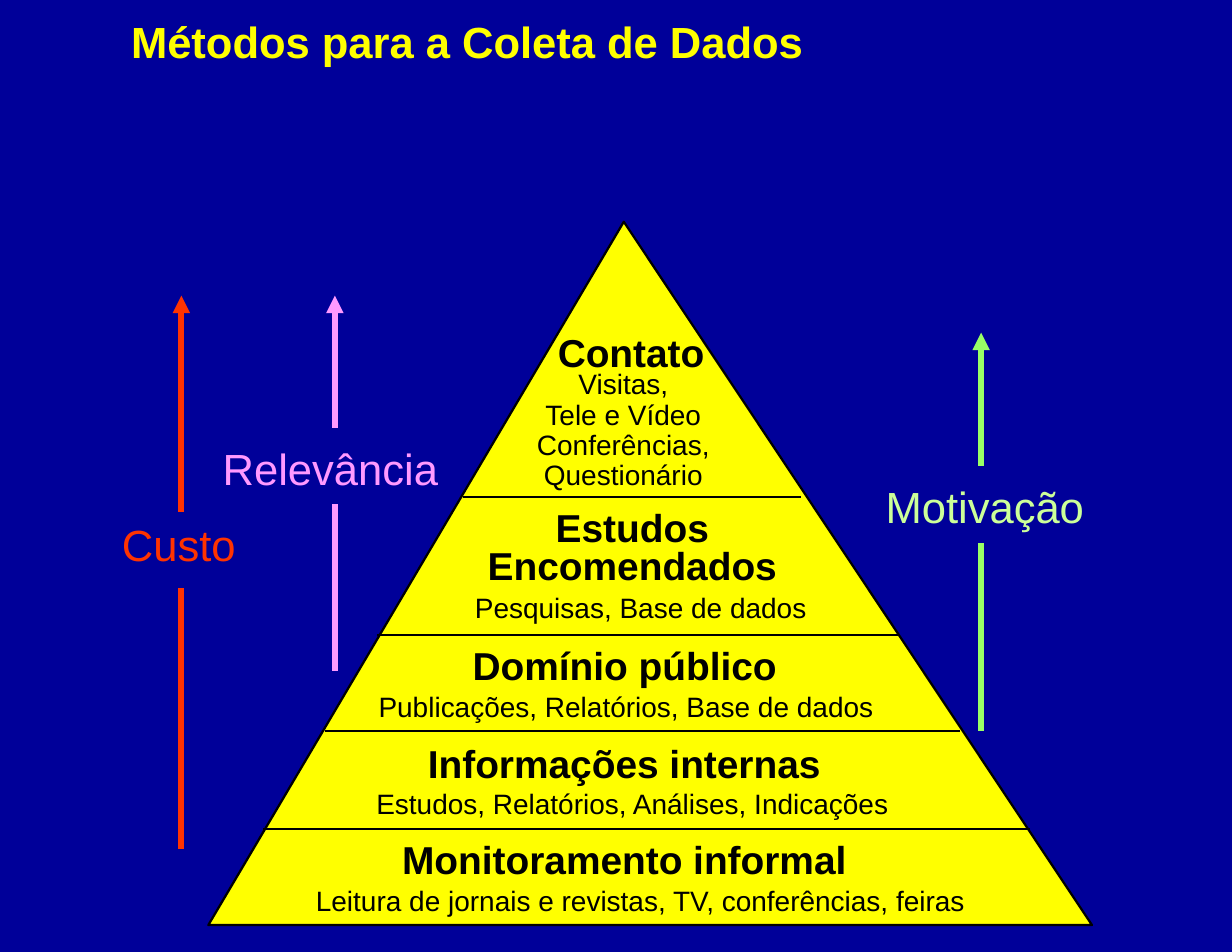
from lxml import etree
from pptx import Presentation
from pptx.dml.color import RGBColor
from pptx.enum.shapes import MSO_CONNECTOR, MSO_SHAPE
from pptx.enum.text import MSO_ANCHOR, MSO_AUTO_SIZE, PP_ALIGN
from pptx.oxml.ns import qn
from pptx.util import Inches, Pt

LEFT, CENTER = PP_ALIGN.LEFT, PP_ALIGN.CENTER
STRAIGHT, RECTANGLE = MSO_CONNECTOR.STRAIGHT, MSO_SHAPE.RECTANGLE
TOP, NO_FIT, TITLE_ONLY = MSO_ANCHOR.TOP, MSO_AUTO_SIZE.NONE, 5
FONT = "Arial"
HEADING, DETAIL, LABEL = 25, 18, 28
COLORS = {
    "background": "000099", "yellow": "FFFF00", "black": "000000",
    "green": "99FF66", "pale green": "CCFF99", "pink": "FF99FF", "red": "FF3300",
}

TITLE = "Métodos para a Coleta de Dados"
TITLE_AREA = (1.17, 0.22, 8.58, 0.51)
# label, label area, mask area, arrow (x, top, bottom), arrow color, label color
ARROWS = [
    ("Motivação", (7.81, 4.24, 1.97, 0.57), (7.74, 4.17, 2.25, 0.67),
     (8.76, 2.97, 6.53), "green", "pale green"),
    ("Relevância", (1.89, 3.9, 2.12, 0.57), (1.82, 3.83, 2.25, 0.67),
     (2.99, 2.64, 5.99), "pink", "pink"),
    ("Custo", (0.99, 4.58, 1.22, 0.57), (0.57, 4.58, 1.75, 0.67),
     (1.62, 2.64, 7.58), "red", "red"),
]
PYRAMID = [(1.86, 8.26), (9.75, 8.26), (5.57, 1.98)]
# left, right, y
DIVIDERS = [(2.35, 9.2, 7.4), (2.9, 8.57, 6.53), (3.37, 8.02, 5.67), (4.13, 7.15, 4.44)]
# text, area, size, alignment, line spacing
LEVEL_TEXTS = [
    ("Contato", (4.98, 2.93, 1.39, 0.41), HEADING, LEFT, 1),
    ("Visitas,\nTele e Vídeo\nConferências,\nQuestionário",
     (4.49, 3.31, 2.15, 0.62), DETAIL, CENTER, 0.9),
    ("Estudos\nEncomendados", (4.3, 4.58, 2.69, 0.7), HEADING, CENTER, 0.8),
    ("Pesquisas, Base de dados", (4.24, 5.27, 3.25, 0.32), DETAIL, LEFT, 1),
    ("Domínio público", (4.22, 5.73, 2.87, 0.41), HEADING, LEFT, 1),
    ("Publicações, Relatórios, Base de dados", (3.38, 6.16, 4.67, 0.3), DETAIL, LEFT, 1),
    ("Informações internas", (3.82, 6.6, 3.71, 0.41), HEADING, LEFT, 1),
    ("Estudos, Relatórios, Análises, Indicações", (3.36, 7.02, 4.82, 0.3), DETAIL, LEFT, 1),
    ("Monitoramento informal", (3.59, 7.46, 4.19, 0.41), HEADING, LEFT, 1),
    ("Leitura de jornais e revistas, TV, conferências, feiras",
     (2.82, 7.89, 6.29, 0.3), DETAIL, LEFT, 1),
]


def color(name):
    return RGBColor.from_string(COLORS[name])


def inches(values):
    return [Inches(value) for value in values]


def write(box, text, size, color_name, bold=False, align=LEFT, spacing=1, inset=0, wrap=True):
    frame = box.text_frame
    frame.text = text
    frame.word_wrap = wrap
    frame.auto_size = NO_FIT
    frame.vertical_anchor = TOP
    if inset is not None:
        frame.margin_left = frame.margin_right = Inches(inset)
        frame.margin_top = frame.margin_bottom = Inches(inset)
    for para in frame.paragraphs:
        para.alignment = align
        para.line_spacing = spacing
        para.space_before = Pt(0)
        for span in para.runs:
            span.font.name = FONT
            span.font.size = Pt(size)
            span.font.bold = bold
            span.font.color.rgb = color(color_name)


def paint(shape, fill, line, width):
    shape.shadow.inherit = False
    shape.fill.solid()
    shape.fill.fore_color.rgb = color(fill)
    shape.line.color.rgb = color(line)
    shape.line.width = Pt(width)


def add_line(shapes, ends, color_name, width, arrow=False):
    """Draw a line, with an arrowhead at its start if arrow is set."""
    line = shapes.add_connector(STRAIGHT, *inches(ends))
    line.line.color.rgb = color(color_name)
    line.line.width = Pt(width)
    properties = line.element.spPr
    if arrow:
        etree.SubElement(properties.find(qn("a:ln")), qn("a:headEnd"), type="triangle")
    etree.SubElement(properties, qn("a:effectLst"))


def add_labelled_arrow(page, label, label_area, mask_area, arrow, arrow_color, label_color):
    """Draw an upward arrow broken by its label."""
    shapes = page.shapes.add_group_shape().shapes
    x, top, bottom = arrow
    add_line(shapes, (x, top, x, bottom), arrow_color, 3.75, arrow=True)
    mask = shapes.add_shape(RECTANGLE, *inches(mask_area))
    paint(mask, "background", "background", 0.75)
    box = shapes.add_textbox(*inches(label_area))
    write(box, label, LABEL, label_color, inset=None, wrap=False)


def main():
    deck = Presentation()
    deck.slide_width, deck.slide_height = Inches(11), Inches(8.5)
    page = deck.slides.add_slide(deck.slide_layouts[TITLE_ONLY])
    page.background.fill.solid()
    page.background.fill.fore_color.rgb = color("background")

    title = page.shapes.title
    title.left, title.top, title.width, title.height = inches(TITLE_AREA)
    write(title, TITLE, LABEL, "yellow", bold=True, spacing=0.8)

    for arrow in ARROWS:
        add_labelled_arrow(page, *arrow)

    corners = [inches(corner) for corner in PYRAMID]
    builder = page.shapes.build_freeform(*corners[0])
    builder.add_line_segments(corners[1:], close=True)
    paint(builder.convert_to_shape(), "yellow", "black", 1.45)

    for left, right, y in DIVIDERS:
        add_line(page.shapes, (left, y, right, y), "black", 1.45)

    for text, area, size, align, spacing in LEVEL_TEXTS:
        box = page.shapes.add_textbox(*inches(area))
        write(box, text, size, "black", size == HEADING, align, spacing)

    deck.save("out.pptx")


if __name__ == "__main__":
    main()
